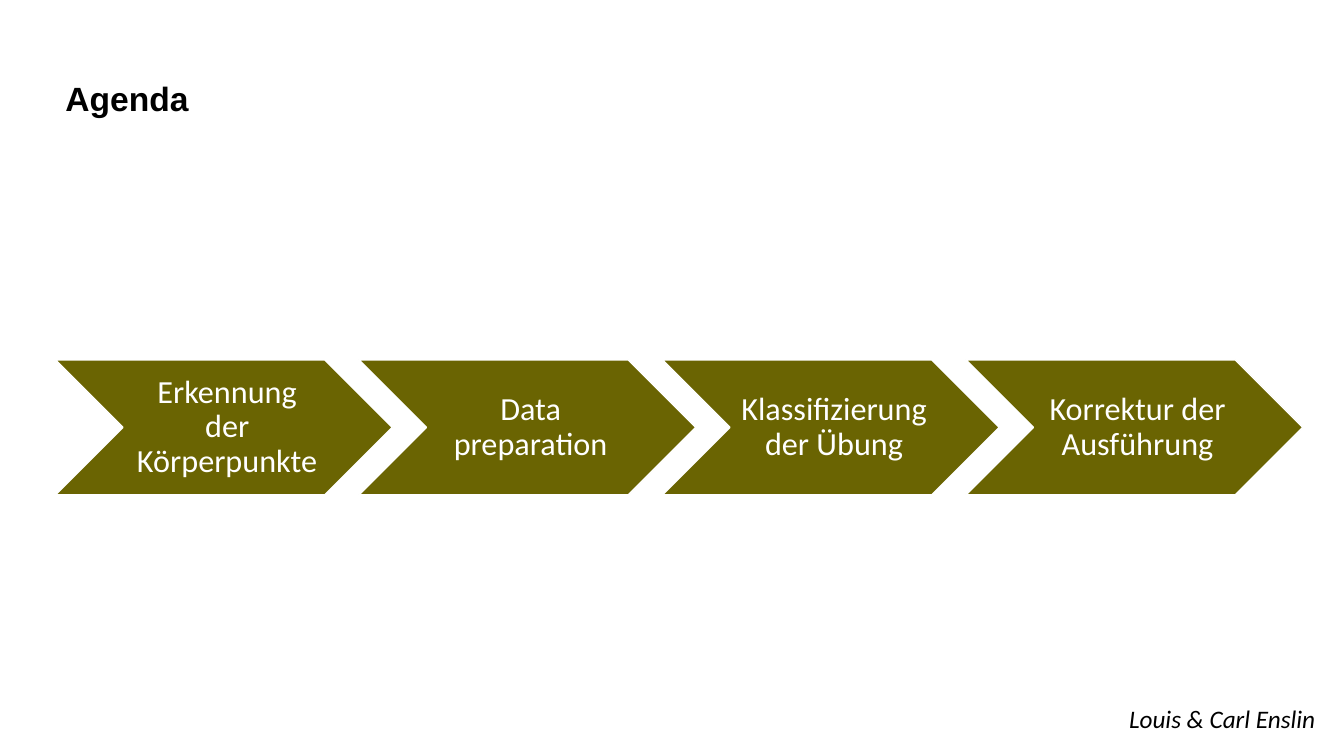
from pptx import Presentation
from pptx import util as u
from pptx.dml.color import RGBColor
from pptx.enum import shapes, text

Inches, Pt = u.Inches, u.Pt


def color(code):
    return RGBColor.from_string(code)


def write(shape, words, font, size, tint):
    """Put one formatted paragraph in the shape and return it."""
    frame = shape.text_frame
    frame.word_wrap = True
    frame.text = words
    para = frame.paragraphs[0]
    run = para.runs[0]
    run.font.name = font
    run.font.size = Pt(size)
    run.font.color.rgb = color(tint)
    return para


deck = Presentation()
deck.slide_width = Inches(13.33)
deck.slide_height = Inches(7.5)
slide = deck.slides.add_slide(deck.slide_layouts[6])

title = slide.shapes.add_textbox(Inches(0.55), Inches(0.79), Inches(5.08), Inches(0.42))
para = write(title, "Agenda", "Arial", 24, "000000")
para.line_spacing = 0.9
para.runs[0].font.bold = True
title.text_frame.vertical_anchor = text.MSO_ANCHOR.MIDDLE

names = slide.shapes.add_textbox(Inches(11.1), Inches(6.93), Inches(2.16), Inches(0.4))
para = write(names, "Louis & Carl Enslin", "Calibri", 18, "000000")
para.runs[0].font.italic = True
names.text_frame.word_wrap = False

steps = [
    "Erkennung der Körperpunkte",
    "Data preparation",
    "Klassifizierung der Übung",
    "Korrektur der Ausführung",
]
for i, step in enumerate(steps):
    arrow = slide.shapes.add_shape(
        shapes.MSO_SHAPE.CHEVRON,
        Inches(0.55 + 3.01 * i), Inches(3.57), Inches(3.34), Inches(1.34))
    arrow.shadow.inherit = False
    arrow.fill.solid()
    arrow.fill.fore_color.rgb = color("6A6402")
    arrow.line.color.rgb = color("FFFFFF")
    arrow.line.width = Pt(1)

    para = write(arrow, step, "Calibri", 23, "FFFFFF")
    para.alignment = text.PP_ALIGN.CENTER
    para.line_spacing = 0.9
    frame = arrow.text_frame
    frame.vertical_anchor = text.MSO_ANCHOR.MIDDLE
    frame.margin_left = Inches(0.1)
    frame.margin_top = frame.margin_right = frame.margin_bottom = Inches(0.03)

deck.save("out.pptx")
